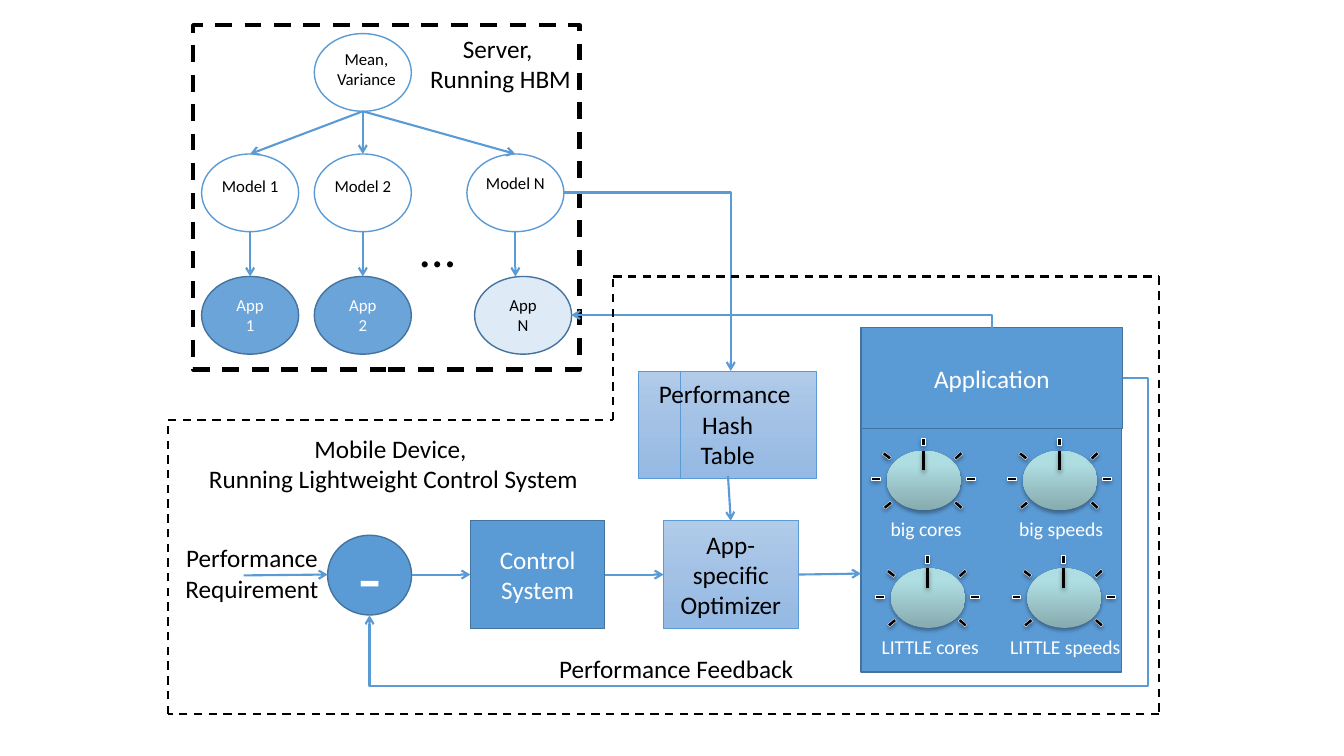
from itertools import product

from lxml import etree
from pptx import Presentation
from pptx.dml.color import RGBColor
from pptx.enum.dml import MSO_LINE
from pptx.enum.shapes import MSO_CONNECTOR, MSO_SHAPE
from pptx.enum.text import MSO_ANCHOR, PP_ALIGN
from pptx.oxml.ns import qn
from pptx.util import Pt

RECTANGLE, OVAL, MINUS = MSO_SHAPE.RECTANGLE, MSO_SHAPE.OVAL, MSO_SHAPE.MATH_MINUS
STRAIGHT, ELBOW = MSO_CONNECTOR.STRAIGHT, MSO_CONNECTOR.ELBOW
LEFT, CENTER = PP_ALIGN.LEFT, PP_ALIGN.CENTER
TOP, MIDDLE = MSO_ANCHOR.TOP, MSO_ANCHOR.MIDDLE
DASH = MSO_LINE.DASH

THEME = {
    "font": "Calibri",
    "blue": "5B9BD5", "edge": "43739E", "white": "FFFFFF", "black": "000000",
    "small": 12, "label": 14, "body": 18, "dots": 36, "minus": 54,
    "dial": ([(0, "87ABAE"), (80, "AFDEE2"), (100, "AFE0E4")], 270),
    "pale": ([(0, "B1CBE9"), (50, "A3C1E5"), (100, "93B9E4")], 90),
}

BLOCKS = [
    (RECTANGLE, (336, 372, 96, 77), "blue", "edge", 1, ["Control", "System"], "body", "white"),
    (RECTANGLE, (615, 306, 186, 174), "blue", "edge", 1, [], "body", "white"),
    (RECTANGLE, (615, 234, 187, 72), "blue", "edge", 1, ["Application"], "body", "white"),
    (OVAL, (234, 382.3, 60, 57), "blue", "edge", 1, ["-"], "minus", "white"),
    (RECTANGLE, (474, 372, 96, 77), "pale", "blue", 0.5, ["App-specific", "Optimizer"], "body", "black"),
    (RECTANGLE, (456, 265, 117, 77), "pale", "blue", 0.5, [], "body", "black"),
    (RECTANGLE, (486, 265, 97, 77), "pale", "blue", 0.5, [], "body", "black"),
]

NODE_WIDTH, NODE_HEIGHT = 69.3, 55.5
MODEL_TOP, APP_TOP = 110, 197.5
ROOT = (224.5, 24)
BRANCHES = [
    {"name": "1", "model": 144, "app": 144, "label_top": 121.7, "opacity": 90, "ink": "white"},
    {"name": "2", "model": 224.5, "app": 224.5, "label_top": 121.7, "opacity": 90, "ink": "white"},
    {"name": "N", "model": 333.5, "app": 339, "label_top": 119.5, "opacity": 20, "ink": "black"},
]

LABELS = [
    ((207.5, 31, 108.5, 36.7), ["Mean,", "Variance"], "small", "black", CENTER),
    ((293, 151.3, 80.5, 52), ["…"], "dots", "black", LEFT),
    ((300, 20, 115, 73), ["Server, ", "Running HBM"], "body", "black", CENTER),
    ((124.5, 306, 313, 51), ["Mobile Device, ", "Running Lightweight Control System"], "body", "black", CENTER),
    ((108, 384, 144, 51), ["Performance", "Requirement"], "body", "black", CENTER),
    ((348, 463, 270, 29), ["Performance Feedback"], "body", "black", CENTER),
    ((456, 267, 127.5, 73), ["Performance ", "Hash", "Table"], "body", "black", CENTER),
    ((615, 366, 93, 24), ["big cores"], "label", "white", CENTER),
    ((711.5, 366, 93, 24), ["big speeds"], "label", "white", CENTER),
    ((618, 450, 93, 24), ["LITTLE cores"], "label", "white", CENTER),
    ((711.5, 450, 99, 24), ["LITTLE speeds"], "label", "white", CENTER),
]

ARROWS = [
    ((174, 411), (234, 410.4)),
    ((294, 410.4), (336, 410.4)),
    ((432, 410.4), (474, 410.4)),
    ((570, 410.4), (615, 409.7)),
    ((520, 340), (522, 372)),
]
ELBOWS = [
    ((802, 270), (264, 439.5), "tailEnd", "bentConnector4", (-3300, 129900)),
    ((408, 225), (708.5, 234), "headEnd", "bentConnector2", ()),
    ((402.5, 137.5), (522, 265), "tailEnd", "bentConnector2", ()),
]

SERVER_FRAME = (138, 18, 276, 246)
DEVICE_OUTLINE = [(438, 300), (438, 197.5), (828, 197.5), (828, 510), (120, 510), (120, 300)]

TICKS = [
    (22.3, -12.2, 7.2, 11.5, 270),
    (55.4, 15.1, 8.6, 10.1, 0),
    (-12.2, 15.1, 8.6, 10.1, 0),
    (-4.3, -1.4, 8.6, 10.1, 37.7),
    (46.8, -1.4, 8.6, 10.1, 317.8),
    (-3.6, 33.8, 8.6, 10.1, 319.8),
    (46.8, 33.8, 8.6, 10.1, 42),
]


def points(values):
    return [Pt(value) for value in values]


def apply(target, values):
    for name, value in values.items():
        setattr(target, name, value)


def color(name):
    return RGBColor.from_string(THEME[name])


def child(parent, tag, **attributes):
    element = etree.SubElement(parent, qn(tag))
    for name, value in attributes.items():
        element.set(name, str(value))
    return element


def paint(shape, fill, opacity=100):
    if fill is None:
        shape.fill.background()
    elif isinstance(THEME[fill], tuple):
        stops, angle = THEME[fill]
        shape.fill.gradient()
        shape.fill.gradient_angle = 360 - angle
        stop_list = shape.element.spPr.find(".//" + qn("a:gsLst"))
        for stop in list(stop_list):
            stop_list.remove(stop)
        for position, value in stops:
            child(child(stop_list, "a:gs", pos=position * 1000), "a:srgbClr", val=value)
    else:
        shape.fill.solid()
        shape.fill.fore_color.rgb = color(fill)
        if opacity < 100:
            tone = shape.element.spPr.find(qn("a:solidFill")).find(qn("a:srgbClr"))
            child(tone, "a:alpha", val=opacity * 1000)


def cast_shadow(effects, opacity, distance):
    shadow = child(effects, "a:outerShdw", blurRad=Pt(3.1), dist=Pt(distance), dir=5400000, rotWithShape=0)
    child(child(shadow, "a:srgbClr", val=THEME["black"]), "a:alpha", val=opacity * 1000)


def write(shape, lines, size, ink, align=CENTER, anchor=MIDDLE):
    apply(shape.text_frame, {"word_wrap": True, "vertical_anchor": anchor})
    for index, line in enumerate(lines):
        paragraph = shape.text_frame.paragraphs[0] if index == 0 else shape.text_frame.add_paragraph()
        paragraph.alignment = align
        run = paragraph.add_run()
        run.text = line
        apply(run.font, {"name": THEME["font"], "size": Pt(THEME[size])})
        run.font.color.rgb = color(ink)


def add_shape(shapes, kind, box, fill, line, width, opacity=100, shadow=None):
    shape = shapes.add_shape(kind, *points(box))
    shape.shadow.inherit = False
    paint(shape, fill, opacity)
    if line:
        shape.line.color.rgb = color(line)
        shape.line.width = Pt(width)
    else:
        shape.line.fill.background()
    if shadow:
        cast_shadow(shape.element.spPr.find(qn("a:effectLst")), *shadow)
    return shape


def add_line(shapes, start, end, ink="blue", width=1.5, arrow=None, kind=STRAIGHT, dash=None, shadow=None):
    connector = shapes.add_connector(kind, *points(start + end))
    connector.line.color.rgb = color(ink)
    apply(connector.line, {"width": Pt(width), "dash_style": dash})
    properties = connector.element.spPr
    if arrow:
        child(properties.find(qn("a:ln")), "a:" + arrow, type="arrow")
    effects = child(properties, "a:effectLst")
    if shadow:
        cast_shadow(effects, *shadow)
    return connector


def add_elbow(shapes, start, end, arrow, preset, adjustments):
    connector = add_line(shapes, start, end, arrow=arrow, kind=ELBOW)
    geometry = connector.element.spPr.find(qn("a:prstGeom"))
    geometry.set("prst", preset)
    guides = geometry.find(qn("a:avLst"))
    for number, value in enumerate(adjustments, 1):
        child(guides, "a:gd", name=f"adj{number}", fmla=f"val {value}")


def add_label(shapes, box, lines, size, ink, align=CENTER):
    write(shapes.add_textbox(*points(box)), lines, size, ink, align, TOP)


def add_knob(shapes, left, top):
    knob = shapes.add_group_shape().shapes
    add_shape(knob, OVAL, (left, top, 53, 42.5), "dial", None, 0, shadow=(35, 1.8))
    add_line(knob, (left + 26, top), (left + 26, top + 14), "black", 2, shadow=(38, 1.6))
    for across, down, width, height, angle in TICKS:
        box = (left + across, top + down, width, height)
        tick = add_shape(knob, MINUS, box, "black", "white", 0.25, shadow=(38, 1.6))
        tick.rotation = angle


def add_server_tree(shapes):
    size = (NODE_WIDTH, NODE_HEIGHT)
    half = NODE_WIDTH / 2
    root_base = (ROOT[0] + half, ROOT[1] + NODE_HEIGHT)
    add_shape(shapes, OVAL, ROOT + size, "white", "blue", 1)
    for branch in BRANCHES:
        model, app, name = branch["model"], branch["app"], branch["name"]
        center = model + half
        add_shape(shapes, OVAL, (model, MODEL_TOP) + size, "white", "blue", 1)
        add_shape(shapes, OVAL, (app, APP_TOP) + size, "blue", "edge", 1, branch["opacity"])
        add_line(shapes, root_base, (center, MODEL_TOP), arrow="tailEnd")
        add_line(shapes, (center, MODEL_TOP + NODE_HEIGHT), (center, APP_TOP), arrow="tailEnd")
        add_label(shapes, (model, branch["label_top"], NODE_WIDTH, 22), [f"Model {name}"], "small", "black")
        add_label(shapes, (app, APP_TOP + 9.2, NODE_WIDTH, 36.7), ["App", name], "small", branch["ink"])


def main():
    presentation = Presentation()
    apply(presentation, {"slide_width": Pt(960), "slide_height": Pt(540)})
    shapes = presentation.slides.add_slide(presentation.slide_layouts[6]).shapes
    for kind, box, fill, line, width, lines, size, ink in BLOCKS:
        write(add_shape(shapes, kind, box, fill, line, width), lines, size, ink)
    for row, column in product(range(2), range(2)):
        add_knob(shapes, 633.5 + 97.3 * column + 3 * row, 322 + 84 * row)
    add_server_tree(shapes)
    frame = add_shape(shapes, RECTANGLE, SERVER_FRAME, None, "black", 3)
    frame.line.dash_style = DASH
    for start, end in ARROWS:
        add_line(shapes, start, end, arrow="tailEnd")
    for elbow in ELBOWS:
        add_elbow(shapes, *elbow)
    for start, end in zip(DEVICE_OUTLINE, DEVICE_OUTLINE[1:] + DEVICE_OUTLINE[:1]):
        add_line(shapes, start, end, "black", dash=DASH)
    for label in LABELS:
        add_label(shapes, *label)
    presentation.save("out.pptx")


if __name__ == "__main__":
    main()
